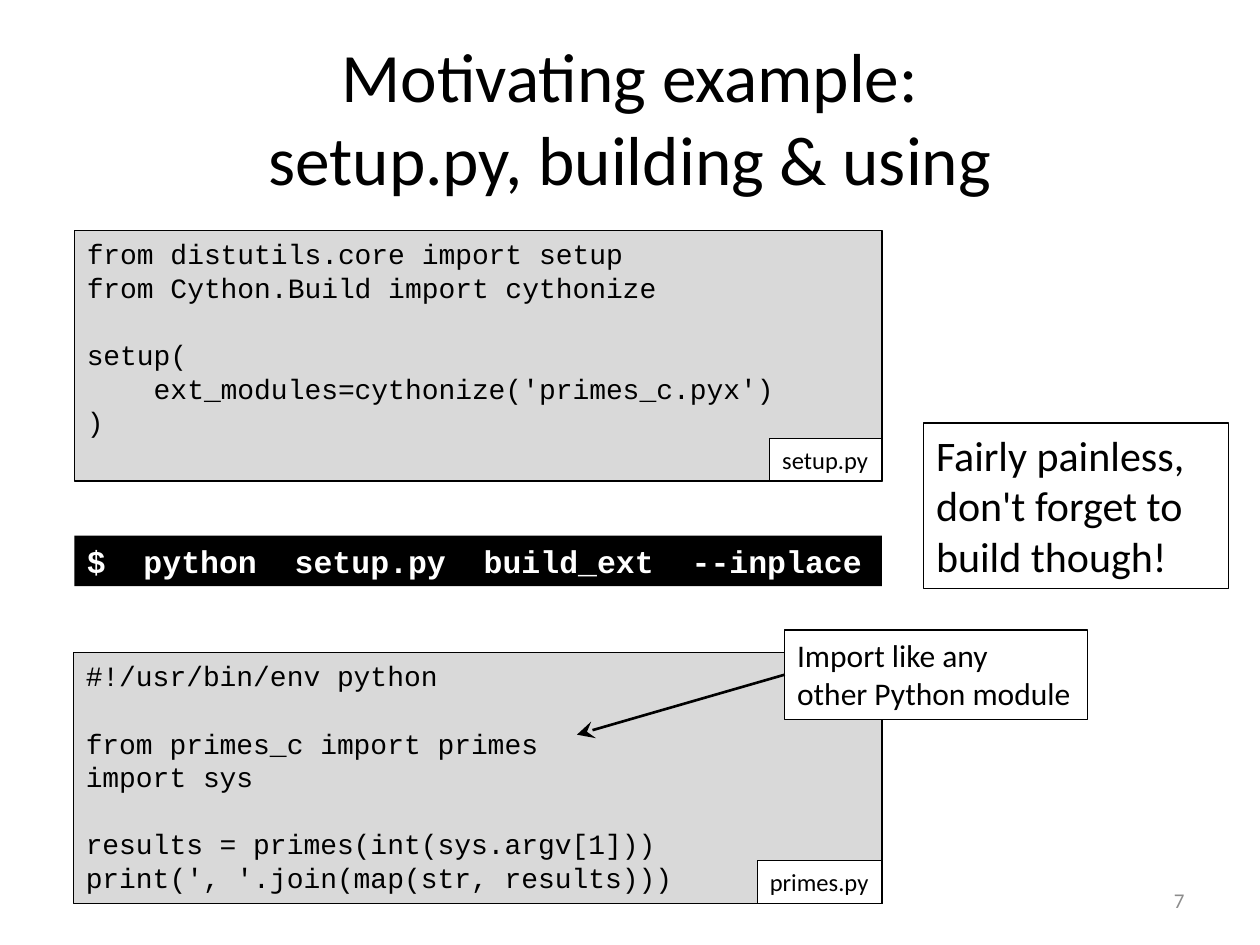
"""Build the slide on setup.py, building and using a compiled module."""
from dataclasses import dataclass
from typing import Optional

from lxml import etree
from pptx import Presentation
from pptx.dml.color import RGBColor
from pptx.enum import shapes, text
from pptx.oxml.ns import qn
from pptx.util import Cm, Pt


@dataclass(frozen=True)
class Theme:
    """Colours, fonts and type sizes of the slide."""
    black: str = "000000"
    white: str = "FFFFFF"
    panel: str = "D9D9D9"
    muted: str = "8C8C8C"
    body_font: str = "Calibri"
    code_font: str = "Courier New"
    title_size: float = 39.6
    remark_size: float = 24
    callout_size: float = 18
    command_size: float = 18
    code_size: float = 16
    tag_size: float = 14
    number_size: float = 12
    code_leading: float = 1.2
    outline: float = 0.75
    arrow: float = 1.5


@dataclass(frozen=True)
class Area:
    """Position and size in centimetres."""
    left: float
    top: float
    width: float
    height: float

    def lengths(self) -> tuple:
        """Return the four values as slide lengths."""
        return Cm(self.left), Cm(self.top), Cm(self.width), Cm(self.height)


@dataclass(frozen=True)
class Listing:
    """A source file with its name tag in the lower right corner."""
    area: Area
    code: str
    file_name: str
    tag_width: float


THEME = Theme()
TAG_HEIGHT = 0.86
LISTINGS = (
    Listing(Area(1.5, 4.65, 16.28, 5.05), """from distutils.core import setup
from Cython.Build import cythonize

setup(
    ext_modules=cythonize('primes_c.pyx')
)""", "setup.py", 2.26),
    Listing(Area(1.48, 13.16, 16.3, 5.05), """#!/usr/bin/env python

from primes_c import primes
import sys

results = primes(int(sys.argv[1]))
print(', '.join(map(str, results)))""", "primes.py", 2.51),
)


def format_paragraph(paragraph, size: float, font: str, color: str, bold: bool = False) -> None:
    """Format every run of a paragraph."""
    for run in paragraph.runs:
        run.font.size = Pt(size)
        run.font.name = font
        run.font.bold = bold
        run.font.color.rgb = RGBColor.from_string(color)


def add_box(slide, area: Area, fill: Optional[str], line: Optional[str], wrap: bool = True):
    """Add a rectangle with top-anchored text."""
    shape = slide.shapes.add_shape(shapes.MSO_SHAPE.RECTANGLE, *area.lengths())
    shape.shadow.inherit = False
    if fill:
        shape.fill.solid()
        shape.fill.fore_color.rgb = RGBColor.from_string(fill)
    else:
        shape.fill.background()
    if line:
        shape.line.color.rgb = RGBColor.from_string(line)
        shape.line.width = Pt(THEME.outline)
    else:
        shape.line.fill.background()
    shape.text_frame.word_wrap = wrap
    shape.text_frame.vertical_anchor = text.MSO_ANCHOR.TOP
    return shape


def add_label(slide, area: Area, wording: str, size: float, fill: Optional[str] = THEME.white,
              wrap: bool = False):
    """Add an outlined box with body text."""
    shape = add_box(slide, area, fill, THEME.black, wrap)
    shape.text_frame.text = wording
    paragraph = shape.text_frame.paragraphs[0]
    paragraph.alignment = text.PP_ALIGN.LEFT
    format_paragraph(paragraph, size, THEME.body_font, THEME.black)
    return shape


def write_code(shape, code: str, size: float, color: str, bold: bool = False) -> None:
    """Write code lines, turning each blank line into space before the next."""
    leading = Pt(size * THEME.code_leading)
    frame = shape.text_frame
    blocks = [block.split("\n") for block in code.split("\n\n")]
    frame.text = "\n".join(line for block in blocks for line in block)
    paragraphs = iter(frame.paragraphs)
    for block_index, block in enumerate(blocks):
        for line_index in range(len(block)):
            paragraph = next(paragraphs)
            paragraph.alignment = text.PP_ALIGN.LEFT
            paragraph.line_spacing = leading
            if block_index and not line_index:
                paragraph.space_before = leading
            format_paragraph(paragraph, size, THEME.code_font, color, bold)


def add_listing(slide, listing: Listing) -> None:
    """Add a code panel and its file name tag."""
    area = listing.area
    panel = add_box(slide, area, THEME.panel, THEME.black)
    write_code(panel, listing.code, THEME.code_size, THEME.black)
    tag = Area(area.left + area.width - listing.tag_width, area.top + area.height - TAG_HEIGHT,
               listing.tag_width, TAG_HEIGHT)
    add_label(slide, tag, listing.file_name, THEME.tag_size)


def add_arrow(slide, source, left: float, top: float) -> None:
    """Add an arrow from the left side of a box to a point."""
    connector = slide.shapes.add_connector(
        shapes.MSO_CONNECTOR.STRAIGHT, source.left, source.top, Cm(left), Cm(top))
    connector.begin_connect(source, 1)
    connector.line.color.rgb = RGBColor.from_string(THEME.black)
    connector.line.width = Pt(THEME.arrow)
    etree.SubElement(connector.line._get_or_add_ln(), qn("a:tailEnd"), type="stealth",
                     w="lg", len="lg")
    etree.SubElement(connector._element.spPr, qn("a:effectLst"))


def add_title(slide, wording: str) -> None:
    """Place and format the title placeholder."""
    title = slide.shapes.title
    title.left, title.top, title.width, title.height = Area(1.27, 0.76, 22.86, 3.18).lengths()
    frame = title.text_frame
    frame.text = wording
    frame.auto_size = text.MSO_AUTO_SIZE.NONE
    frame.vertical_anchor = text.MSO_ANCHOR.MIDDLE
    paragraph = frame.paragraphs[0]
    paragraph.alignment = text.PP_ALIGN.CENTER
    format_paragraph(paragraph, THEME.title_size, THEME.body_font, THEME.black)


def add_slide_number(slide, number: str) -> None:
    """Add the slide number in the lower right corner."""
    frame = slide.shapes.add_textbox(*Area(18.2, 17.65, 5.93, 1.01).lengths()).text_frame
    frame.text = number
    frame.word_wrap = True
    frame.vertical_anchor = text.MSO_ANCHOR.MIDDLE
    paragraph = frame.paragraphs[0]
    paragraph.alignment = text.PP_ALIGN.RIGHT
    format_paragraph(paragraph, THEME.number_size, THEME.body_font, THEME.muted)


def main() -> None:
    """Build and save the presentation."""
    presentation = Presentation()
    presentation.slide_width, presentation.slide_height = Cm(25.4), Cm(19.05)
    slide = presentation.slides.add_slide(presentation.slide_layouts[5])
    add_title(slide, "Motivating example:\vsetup.py, building & using")
    add_slide_number(slide, "7")
    for listing in LISTINGS:
        add_listing(slide, listing)
    command = add_box(slide, Area(1.5, 10.8, 16.28, 1.02), THEME.black, None)
    write_code(command, "$  python  setup.py  build_ext  --inplace", THEME.command_size,
               THEME.white, bold=True)
    add_label(slide, Area(18.62, 8.53, 6.15, 3.33),
              "Fairly painless,\vdon't forget to\vbuild though!", THEME.remark_size, None, True)
    callout = add_label(slide, Area(15.82, 12.7, 6.1, 1.8),
                        "Import like any\vother Python module", THEME.callout_size)
    add_arrow(slide, callout, 11.63, 14.81)
    presentation.save("out.pptx")


if __name__ == "__main__":
    main()
